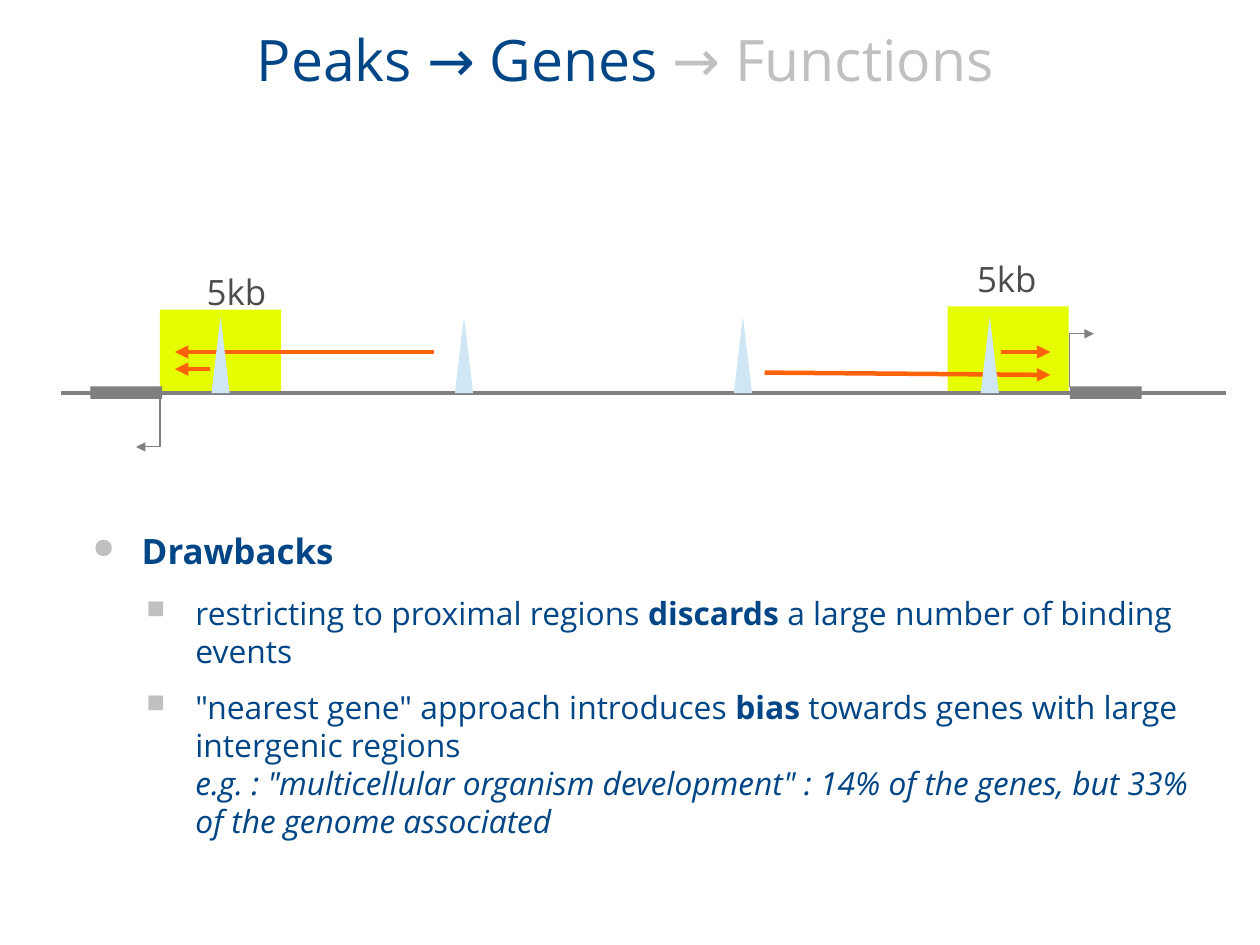
from lxml import etree
from pptx import Presentation
from pptx.dml.color import RGBColor
from pptx.enum import shapes, text
from pptx.oxml import ns
from pptx import util as u

COLORS = {
    "blue": "004586",
    "silver": "C0C0C0",
    "gray": "808080",
    "label": "4C4C4C",
    "region": "E6FF00",
    "peak": "CFE7F5",
    "arrow": "FF6309",
}


class GeneSlide:
    font_name = "Open Sans"

    def __init__(self, slide):
        self.slide = slide

    def color(self, name):
        return RGBColor.from_string(COLORS[name])

    def box(self, left, top, width, height, inset_x=0, inset_y=0):
        frame = self.slide.shapes.add_textbox(
            *map(u.Inches, (left, top, width, height))).text_frame
        frame.word_wrap = True
        frame.margin_left = frame.margin_right = u.Inches(inset_x)
        frame.margin_top = frame.margin_bottom = u.Inches(inset_y)
        return frame

    def style(self, paragraph, size, color):
        paragraph.font.name = self.font_name
        paragraph.font.size = u.Pt(size)
        paragraph.font.color.rgb = self.color(color)

    def title(self, done, pending):
        frame = self.box(0.51, 0.01, 9.92, 1.01)
        frame.vertical_anchor = text.MSO_ANCHOR.MIDDLE
        heading = frame.paragraphs[0]
        heading.alignment = text.PP_ALIGN.CENTER
        self.style(heading, 36, "blue")
        heading.add_run().text = done
        faded = heading.add_run()
        faded.text = pending
        faded.font.color.rgb = self.color("silver")

    def label(self, left, top, wording):
        paragraph = self.box(left, top, 0.8, 0.52, 0.1, 0.05).paragraphs[0]
        paragraph.text = wording
        self.style(paragraph, 22, "label")

    def bullet(self, paragraph, level, mark, indent, size, after, runs):
        paragraph.level = level
        paragraph.space_after = u.Pt(after)
        props = paragraph._p.get_or_add_pPr()
        props.set("marL", str(u.Inches(indent)))
        props.set("indent", str(u.Inches(-0.43)))
        mark_color = etree.SubElement(props, ns.qn("a:buClr"))
        etree.SubElement(mark_color, ns.qn("a:srgbClr"), val=COLORS["silver"])
        etree.SubElement(props, ns.qn("a:buSzPct"), val="80000")
        etree.SubElement(props, ns.qn("a:buFont"), typeface="OpenSymbol")
        etree.SubElement(props, ns.qn("a:buChar"), char=mark)
        self.style(paragraph, size, "blue")
        for wording, emphasis in runs:
            if emphasis == "italic":
                paragraph.add_line_break()
            run = paragraph.add_run()
            run.text = wording
            if emphasis == "bold":
                run.font.bold = True
            elif emphasis == "italic":
                run.font.italic = True

    def block(self, left, top, width, height, color,
              kind=shapes.MSO_SHAPE.RECTANGLE):
        shape = self.slide.shapes.add_shape(
            kind, *map(u.Inches, (left, top, width, height)))
        shape.shadow.inherit = False
        shape.fill.solid()
        shape.fill.fore_color.rgb = self.color(color)
        shape.line.fill.background()

    def peak(self, left):
        self.block(left, 2.77, 0.16, 0.67, "peak",
                   shapes.MSO_SHAPE.ISOSCELES_TRIANGLE)

    def stroke(self, shape, color, width, arrow):
        shape.line.color.rgb = self.color(color)
        shape.line.width = u.Pt(width)
        if arrow:
            etree.SubElement(shape.line._get_or_add_ln(),
                             ns.qn("a:tailEnd"), type="triangle")

    def line(self, x1, y1, x2, y2, color, arrow=True):
        connector = self.slide.shapes.add_connector(
            shapes.MSO_CONNECTOR.STRAIGHT, *map(u.Inches, (x1, y1, x2, y2)))
        self.stroke(connector, color, 2.83, arrow)
        etree.SubElement(connector._element.spPr, ns.qn("a:effectLst"))

    def start_site(self, x, y, turn_y, end_x):
        start, turn, end = [(u.Inches(a), u.Inches(b)) for a, b in
                            ((x, y), (x, turn_y), (end_x, turn_y))]
        builder = self.slide.shapes.build_freeform(*start, scale=1.0)
        builder.add_line_segments([turn, end], close=False)
        shape = builder.convert_to_shape()
        shape.shadow.inherit = False
        shape.fill.background()
        self.stroke(shape, "gray", 0, True)


def main():
    deck = Presentation()
    deck.slide_width, deck.slide_height = u.Cm(28), u.Cm(21)
    deck.element.sldSz.attrib.pop("type", None)
    page = GeneSlide(deck.slides.add_slide(deck.slide_layouts[6]))

    for left, top in ((8.29, 2.68), (1.4, 2.71)):
        page.block(left, top, 1.06, 0.74, "region")

    page.title("Peaks → Genes ", "→ Functions")

    drawbacks = page.box(0.69, 4.63, 9.92, 3.11)
    page.bullet(drawbacks.paragraphs[0], 0, "●", 0.55, 22, 14.2,
                [("Drawbacks", "bold")])
    points = (
        [("restricting to proximal regions ", None),
         ("discards", "bold"),
         (" a large number of binding events", None)],
        [('"nearest gene" approach introduces ', None),
         ("bias", "bold"),
         (" towards genes with large intergenic regions", None),
         ('e.g. : "multicellular organism development" : 14% of the genes, '
          "but 33% of the genome associated", "italic")],
    )
    for runs in points:
        page.bullet(drawbacks.add_paragraph(), 1, "■", 1.02, 20, 11.3, runs)

    page.line(0.53, 3.44, 10.73, 3.44, "gray", arrow=False)
    for gene_left in (0.79, 9.36):
        page.block(gene_left, 3.38, 0.63, 0.11, "gray")
    page.start_site(1.4, 3.44, 3.91, 1.19)
    page.start_site(9.36, 3.39, 2.92, 9.57)

    for left, top in ((1.71, 2.32), (8.45, 2.2)):
        page.label(left, top, "5kb")

    page.line(3.8, 3.08, 1.53, 3.08, "arrow")
    page.line(6.69, 3.26, 9.19, 3.28, "arrow")
    for peak_left in (6.42, 3.98, 1.85, 8.58):
        page.peak(peak_left)
    page.line(1.84, 3.23, 1.53, 3.23, "arrow")
    page.line(8.76, 3.08, 9.19, 3.08, "arrow")

    deck.save("out.pptx")


if __name__ == "__main__":
    main()
